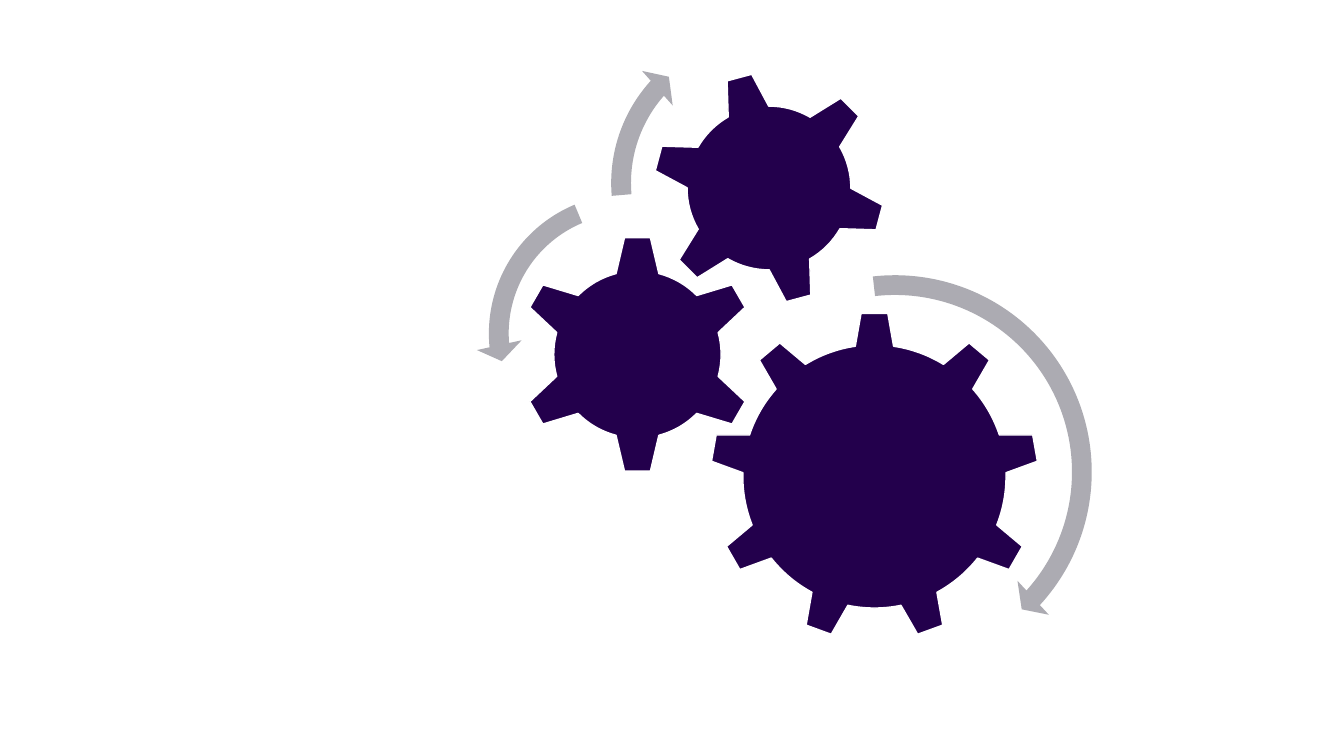
"""Build a slide with three meshing gears and their rotation arrows."""
from pptx import Presentation
from pptx.dml.color import RGBColor
from pptx.enum.shapes import MSO_SHAPE
from pptx.util import Pt

GEAR_6 = MSO_SHAPE.GEAR_6
GEAR_9 = MSO_SHAPE.GEAR_9
CLOCKWISE = MSO_SHAPE.CIRCULAR_ARROW
COUNTERCLOCKWISE = MSO_SHAPE.LEFT_CIRCULAR_ARROW

SLIDE_WIDTH, SLIDE_HEIGHT = 1344, 756
EMU_PER_PIXEL = 12192000 / SLIDE_WIDTH
ADJUSTMENT_PER_DEGREE = 0.6
BLANK_LAYOUT = 6

PURPLE, GREY, WHITE = "23004C", "ACABB2", "FFFFFF"

# Kind, left and top within the diagram, size, rotation
GEARS = [
    (GEAR_9, 234, 294, 329, 0),
    (GEAR_6, 42, 217, 239, 0),
    (GEAR_6, 176, 53, 234, 345),
]
# Kind, left, top, size, band thickness, head angle, end angle, start angle, head width
ARROWS = [
    (CLOCKWISE, 209, 244, 420, 0.047, 4.98, 42.32, 263.54, 0.055),
    (COUNTERCLOCKWISE, 0, 163, 305, 0.065, 7.17, 174.82, 247.3, 0.075),
    (CLOCKWISE, 122, 0, 330, 0.06, 6.57, 221.9, 175.14, 0.07),
]


def emu(pixels):
    """Turn pixels into EMU."""
    return round(pixels * EMU_PER_PIXEL)


def color(value):
    """Turn a hex string into a colour."""
    return RGBColor.from_string(value)


def add_square_shape(group, kind, left, top, size, fill):
    """Add a filled preset shape with equal sides and no shadow."""
    shape = group.shapes.add_shape(kind, emu(left), emu(top), emu(size), emu(size))
    shape.shadow.inherit = False
    shape.fill.solid()
    shape.fill.fore_color.rgb = color(fill)
    return shape


def add_gear(group, kind, left, top, size, rotation):
    """Add a gear with a thin white outline."""
    gear = add_square_shape(group, kind, left, top, size, PURPLE)
    gear.rotation = rotation
    gear.line.color.rgb = color(WHITE)
    gear.line.width = Pt(1)


def add_rotation_arrow(group, kind, left, top, size,
                       thickness, head_angle, end_angle, start_angle, head_width):
    """Add a curved arrow; its angles are in degrees."""
    arrow = add_square_shape(group, kind, left, top, size, GREY)
    arrow.line.fill.background()
    angles = [angle * ADJUSTMENT_PER_DEGREE
              for angle in (head_angle, end_angle, start_angle)]
    for index, value in enumerate([thickness, *angles, head_width]):
        arrow.adjustments[index] = value


def add_gear_diagram(slide, left, top):
    """Group the gears and arrows with the diagram's corner at left, top."""
    group = slide.shapes.add_group_shape()
    for kind, x, y, *details in GEARS:
        add_gear(group, kind, left + x, top + y, *details)
    for kind, x, y, *details in ARROWS:
        add_rotation_arrow(group, kind, left + x, top + y, *details)


def main():
    """Create and save the presentation."""
    presentation = Presentation()
    presentation.slide_width = emu(SLIDE_WIDTH)
    presentation.slide_height = emu(SLIDE_HEIGHT)
    slide = presentation.slides.add_slide(presentation.slide_layouts[BLANK_LAYOUT])
    add_gear_diagram(slide, 476, 18)
    presentation.save("out.pptx")


main()
